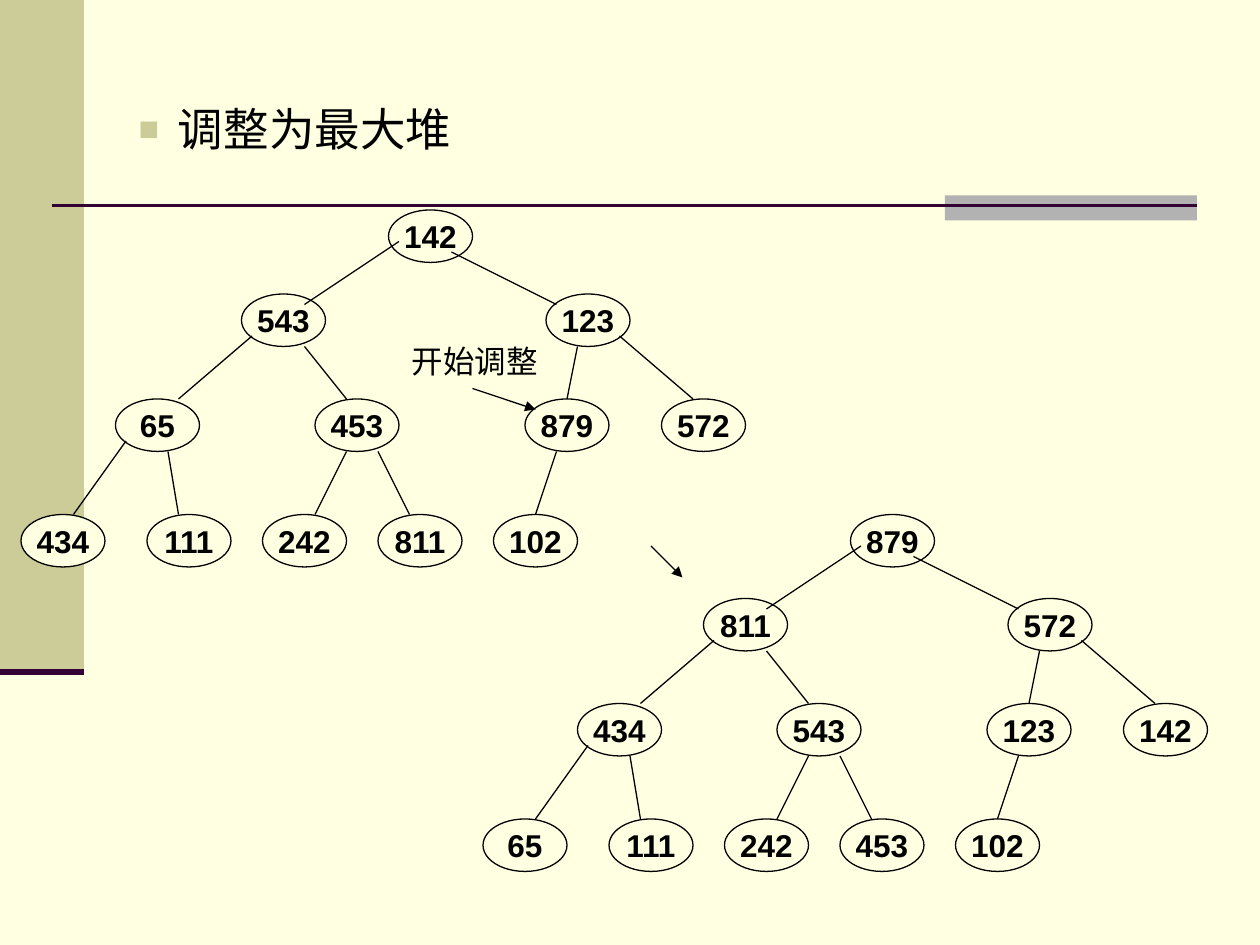
from dataclasses import dataclass

from lxml.etree import SubElement
from pptx import Presentation
from pptx.dml.color import RGBColor as RGB
from pptx.enum.shapes import MSO_CONNECTOR as Line, MSO_SHAPE as Shape
from pptx.enum.text import MSO_ANCHOR as Anchor, MSO_AUTO_SIZE as AutoSize, PP_ALIGN as Align
from pptx.oxml.ns import qn
from pptx.util import Pt


@dataclass(frozen=True)
class Theme:
    paper: RGB = RGB(0xFF, 0xFF, 0xE1)
    olive: RGB = RGB(0xCC, 0xCC, 0x99)
    grey: RGB = RGB(0xB2, 0xB2, 0xB2)
    plum: RGB = RGB(0x33, 0x00, 0x33)
    ink: RGB = RGB(0x00, 0x00, 0x00)
    font: str = "Arial"
    title_size: float = 26
    text_size: float = 18
    thin: float = 0.75


class HeapSlide:
    """Draws on one slide; every length is in points."""

    def __init__(self, slide, theme):
        self.slide, self.theme = slide, theme
        slide.background.fill.solid()
        slide.background.fill.fore_color.rgb = theme.paper

    def style(self, paragraph, size, bold=False, align=Align.LEFT):
        paragraph.alignment = align
        font = paragraph.font
        font.name, font.size, font.bold = self.theme.font, Pt(size), bold
        font.color.rgb = self.theme.ink

    def title(self, text, left, top, width, height):
        box = self.slide.shapes.title
        box.left, box.top, box.width, box.height = map(Pt, (left, top, width, height))
        frame = box.text_frame
        frame.text = text
        frame.word_wrap, frame.auto_size = True, AutoSize.NONE
        frame.vertical_anchor = Anchor.TOP
        heading = frame.paragraphs[0]
        heading.space_before = Pt(0)
        # Square bullet with a hanging indent
        props = heading._p.get_or_add_pPr()
        props.set("marL", str(Pt(58.5)))
        props.set("indent", str(Pt(-22.5)))
        colour = SubElement(props, qn("a:buClr"))
        SubElement(colour, qn("a:srgbClr"), val=str(self.theme.olive))
        SubElement(props, qn("a:buSzPct"), val="75000")
        SubElement(props, qn("a:buFont"), typeface=self.theme.font)
        SubElement(props, qn("a:buChar"), char="■")
        self.style(heading, self.theme.title_size)

    def label(self, text, left, top, width, height, inset):
        frame = self.slide.shapes.add_textbox(*map(Pt, (left, top, width, height))).text_frame
        frame.word_wrap, frame.margin_left = True, Pt(inset)
        frame.text = text
        self.style(frame.paragraphs[0], self.theme.text_size)

    def filled(self, kind, colour, left, top, width, height):
        shape = self.slide.shapes.add_shape(kind, *map(Pt, (left, top, width, height)))
        shape.shadow.inherit = False
        shape.fill.solid()
        shape.fill.fore_color.rgb = colour
        shape.line.fill.background()
        return shape

    def node(self, key, left, top):
        oval = self.filled(Shape.OVAL, self.theme.paper, left, top, *NODE_SIZE)
        oval.line.color.rgb, oval.line.width = self.theme.ink, Pt(self.theme.thin)
        frame = oval.text_frame
        frame.text = str(key)
        frame.word_wrap, frame.vertical_anchor = False, Anchor.MIDDLE
        self.style(frame.paragraphs[0], self.theme.text_size, True, Align.CENTER)

    def line(self, x1, y1, x2, y2, colour=None, width=None, arrow=False):
        link = self.slide.shapes.add_connector(Line.STRAIGHT, *map(Pt, (x1, y1, x2, y2)))
        link.line.color.rgb = colour or self.theme.ink
        link.line.width = Pt(width or self.theme.thin)
        if arrow:
            SubElement(link.line._get_or_add_ln(), qn("a:tailEnd"), type="triangle")
        SubElement(link._element.spPr, qn("a:effectLst"))

    def tree(self, keys, dx=0, dy=0):
        for key, (left, top) in zip(keys, NODE_SPOTS):
            self.node(key, left + dx, top + dy)
        for x1, y1, x2, y2 in EDGES:
            self.line(x1 + dx, y1 + dy, x2 + dx, y2 + dy)


# Heap layout, level by level: top of the row, then left edges
NODE_SIZE = (48, 30)
LEVELS = {
    120: [222],
    168: [138, 312],
    228: [66, 180, 300, 378],
    294: [12, 84, 150, 216, 282],
}
NODE_SPOTS = [(left, top) for top, row in LEVELS.items() for left in row]
EDGES = [
    (228, 138, 174, 174), (258, 144, 318, 174),
    (144, 192, 102, 228), (174, 198, 198, 228),
    (330, 198, 324, 228), (354, 192, 396, 228),
    (72, 252, 42, 294), (96, 258, 102, 294),
    (198, 258, 180, 294), (216, 258, 234, 294),
    (318, 258, 306, 294),
]
# Keys in array order
UNSORTED = [142, 543, 123, 65, 453, 879, 572, 434, 111, 242, 811, 102]
MAX_HEAP = [879, 811, 572, 434, 543, 123, 142, 65, 111, 242, 453, 102]


def main():
    deck = Presentation()
    deck.slide_width, deck.slide_height = Pt(720), Pt(540)
    theme = Theme()
    page = HeapSlide(deck.slides.add_slide(deck.slide_layouts[5]), theme)

    # Frame decoration
    page.filled(Shape.RECTANGLE, theme.olive, 0, 0, 48, 384)
    page.filled(Shape.RECTANGLE, theme.grey, 540, 111.6, 144, 14.4)
    page.line(30, 117.6, 684, 117.6, theme.plum, 1.5)
    page.line(0, 384, 48, 384, theme.plum, 3.5)

    page.title("调整为最大堆", 36, 54, 612, 54)

    # Heap before and after the adjustment
    page.tree(MAX_HEAP, dx=264, dy=174)
    page.tree(UNSORTED)

    # Step arrow and the starting point
    page.line(372, 312, 390, 330, arrow=True)
    page.line(270, 222, 306, 234, arrow=True)
    page.label("开始调整", 192, 192, 126, 30, inset=43.2)

    deck.save("out.pptx")


if __name__ == "__main__":
    main()
